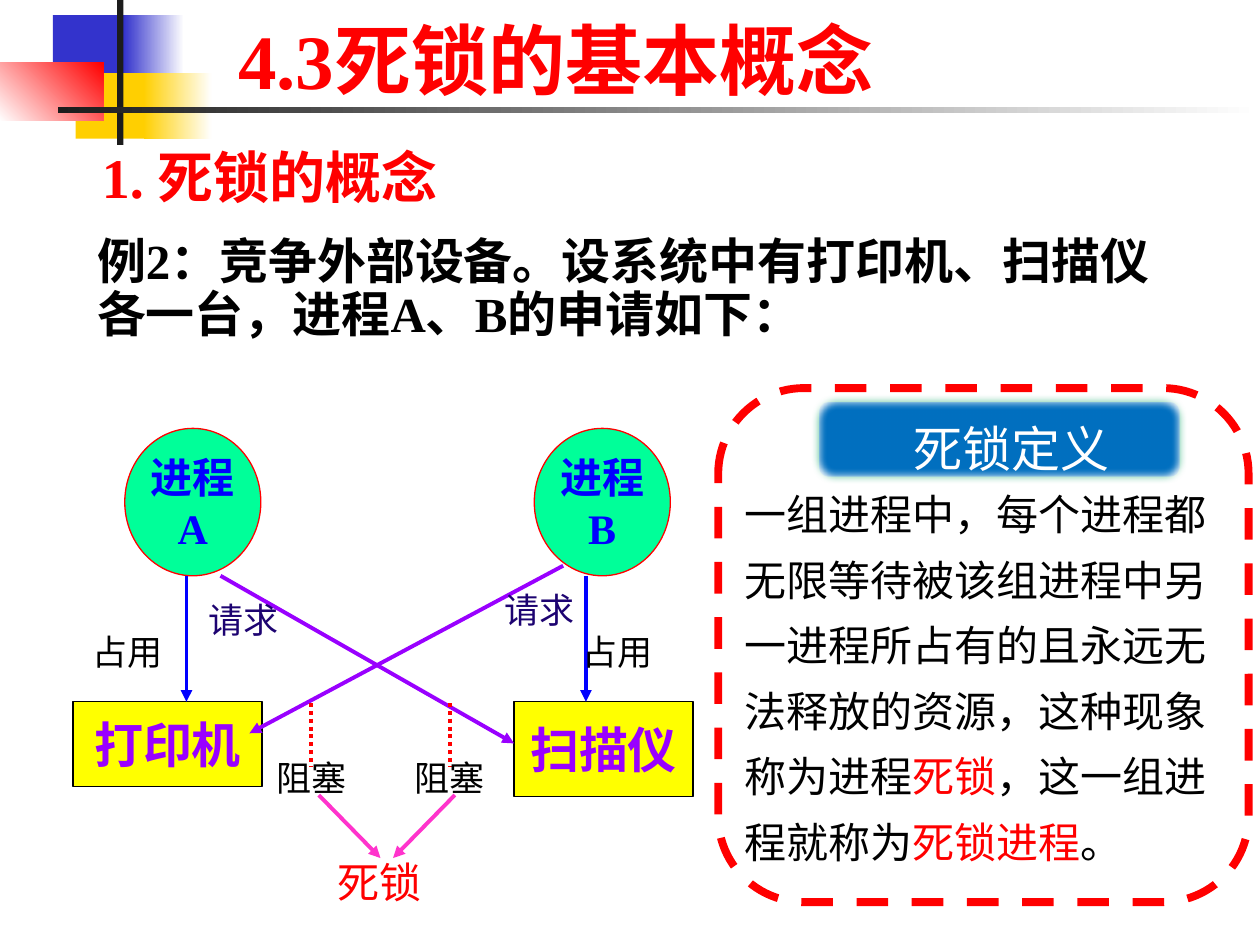
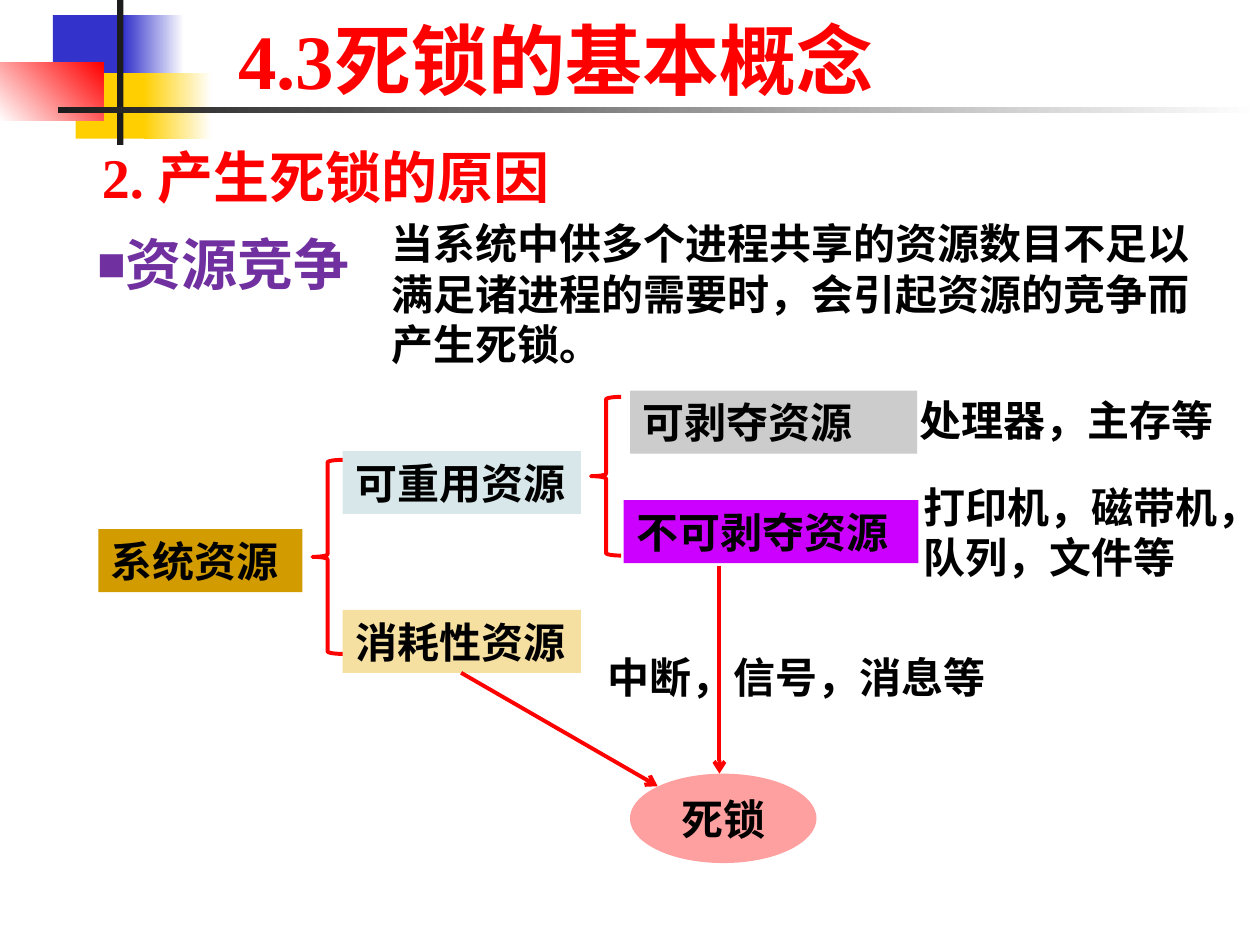
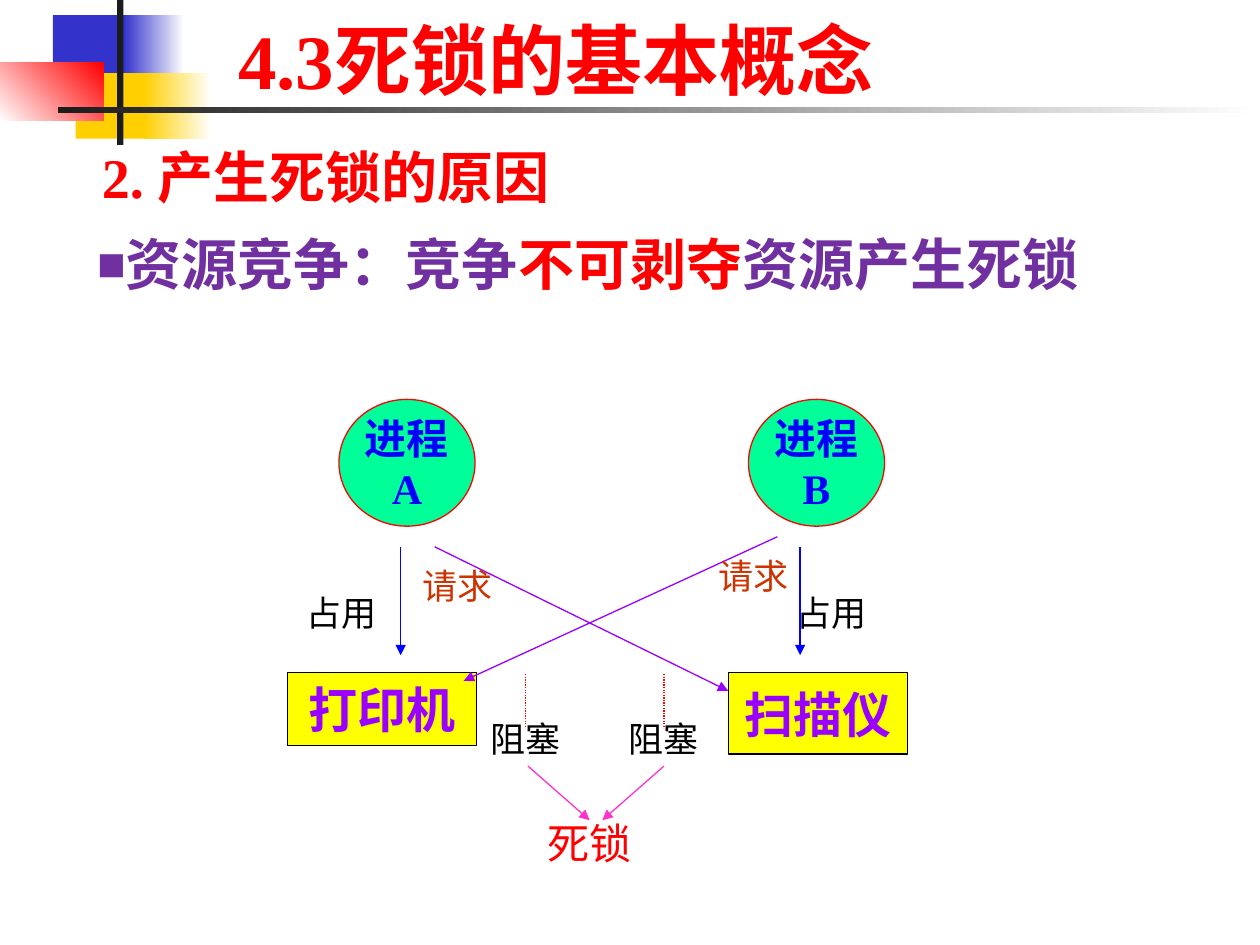
from dataclasses import dataclass

from pptx import Presentation
from pptx.dml.color import RGBColor
from pptx.enum.dml import MSO_LINE
from pptx.enum.shapes import MSO_CONNECTOR, MSO_SHAPE
from pptx.enum.text import MSO_ANCHOR, MSO_AUTO_SIZE, PP_ALIGN
from pptx.oxml.ns import qn
from pptx.util import Inches, Pt
from lxml.etree import SubElement

COLS, ROWS = 100, 75  # grid of the slide


@dataclass(frozen=True)
class Theme:
    # Fonts
    serif: str = "Times New Roman"
    sans: str = "Arial"
    cjk: str = "Noto Sans CJK SC"
    # Type sizes
    title: int = 44
    heading: int = 32
    lead: int = 28
    text: int = 24
    label: int = 20
    # Line widths
    thin: float = 0.75
    thick: float = 2.25
    frame: float = 4.5
    # Colours
    black: str = "000000"
    white: str = "FFFFFF"
    red: str = "FF0000"
    blue: str = "0000FF"
    violet: str = "9900FF"
    purple: str = "7030A0"
    pink: str = "FF33CC"
    yellow: str = "FFFF00"
    green: str = "00FF99"
    navy: str = "1D0371"
    rust: str = "CC3300"
    banner: str = "0070C0"
    banner_edge: str = "51C193"
    band_blue: str = "3333CC"
    band_gold: str = "FFCF01"
    band_dark: str = "1C1C1C"
    ochre: str = "D29B00"
    mist: str = "D8E8EA"
    sand: str = "F6E0A1"
    magenta: str = "CC00FF"
    grey: str = "CCCCCC"
    salmon: str = "FFA0A0"


T = Theme()


def rgb(color):
    return RGBColor.from_string(color)


def write(tf, text, size=T.text, color=T.black, font=T.serif, bold=False,
          align=PP_ALIGN.LEFT, anchor=MSO_ANCHOR.TOP, wrap=True, spacing=None,
          bullet=None):
    """Fill a text frame; text is a string or a list of (text, color) runs."""
    tf.auto_size = MSO_AUTO_SIZE.NONE
    tf.word_wrap = wrap
    tf.vertical_anchor = anchor
    runs = [(text, color)] if isinstance(text, str) else text
    p = tf.paragraphs[0]
    paragraphs = [p]
    for part, run_color in runs:
        for i, line in enumerate(part.split("\n")):
            if i:
                p = tf.add_paragraph()
                paragraphs.append(p)
            r = p.add_run()
            r.text = line
            r.font.name, r.font.size, r.font.bold = font, Pt(size), bold
            r.font.color.rgb = rgb(run_color)
            SubElement(r.font._element, qn("a:ea"), typeface=T.cjk)
    for p in paragraphs:
        p.alignment = align
        p.space_before = Pt(0)
        if spacing:
            p.line_spacing = spacing
        pPr = p._p.get_or_add_pPr()
        indent = Inches(0.19) if bullet else 0
        pPr.set("marL", str(indent))
        pPr.set("indent", str(-indent))
        if bullet:
            SubElement(pPr, qn("a:buSzPct"), val="85000")
            SubElement(pPr, qn("a:buChar"), char=bullet)
        else:
            SubElement(pPr, qn("a:buNone"))


class Deck:
    def __init__(self, theme):
        self.t = theme
        self.prs = Presentation()
        self.prs.slide_width, self.prs.slide_height = Inches(10), Inches(7.5)
        self.s = None

    def x(self, cols):
        return round(self.prs.slide_width * cols / COLS)

    def y(self, rows):
        return round(self.prs.slide_height * rows / ROWS)

    def box(self, at):
        left, top, width, height = at
        return self.x(left), self.y(top), self.x(width), self.y(height)

    def place(self, sp, at):
        sp.left, sp.top, sp.width, sp.height = self.box(at)

    def new_slide(self, title, heading, body, body_format):
        first = self.s is None
        self.s = self.prs.slides.add_slide(self.prs.slide_layouts[1])
        if first:
            self.master_bands()
        sp = self.s.shapes.title
        self.place(sp, (17.9, 0.4, 86.2, 9.5))
        write(sp.text_frame, title, size=self.t.title, color=self.t.red,
              bold=True, anchor=MSO_ANCHOR.MIDDLE, spacing=0.9)
        sp = self.s.placeholders[1]
        self.place(sp, (6.7, 18.3, 86.2, 47.6))
        write(sp.text_frame, body, bold=True, spacing=0.9, **body_format)
        self.text((7.1, 10.8, 58.9, 6.4), heading, size=self.t.heading,
                  color=self.t.red, bold=True)

    def shape(self, kind, at, fill=None, line=None, width=T.thin, dash=None,
              text=None, **fmt):
        sp = self.s.shapes.add_shape(kind, *self.box(at))
        sp.shadow.inherit = False
        if fill:
            sp.fill.solid()
            sp.fill.fore_color.rgb = rgb(fill)
        else:
            sp.fill.background()
        if line:
            sp.line.color.rgb = rgb(line)
            sp.line.width = Pt(width)
            if dash:
                sp.line.dash_style = dash
        else:
            sp.line.fill.background()
        if text:
            write(sp.text_frame, text, **fmt)
        return sp

    def fade(self, at, start, end, angle=0):
        sp = self.shape(MSO_SHAPE.RECTANGLE, at)
        sp.fill.gradient()
        sp.fill.gradient_angle = angle
        for stop, color, position in zip(sp.fill.gradient_stops, (start, end), (0, 1)):
            stop.color.rgb = rgb(color)
            stop.position = position
        return sp

    def text(self, at, text, **fmt):
        tb = self.s.shapes.add_textbox(*self.box(at))
        write(tb.text_frame, text, **fmt)

    def line(self, start, end, color, width=T.thick, head=None, dash=None):
        cx = self.s.shapes.add_connector(
            MSO_CONNECTOR.STRAIGHT, self.x(start[0]), self.y(start[1]),
            self.x(end[0]), self.y(end[1]))
        cx.line.color.rgb = rgb(color)
        cx.line.width = Pt(width)
        if dash:
            cx.line.dash_style = dash
        spPr = cx._element.spPr
        if head:
            SubElement(spPr.find(qn("a:ln")), qn("a:tailEnd"), type=head)
        SubElement(spPr, qn("a:effectLst"))

    def master_bands(self):
        """Draw the corner blocks and rules, then move them to the master."""
        t, rect = self.t, MSO_SHAPE.RECTANGLE
        bands = [
            self.shape(rect, (4.2, 1.2, 6.4, 5.2), t.band_blue),
            self.fade((9.8, 1.2, 4.8, 5.2), t.band_blue, t.white),
            self.shape(rect, (6, 5.8, 6.2, 5.2), t.band_gold),
            self.fade((11.4, 5.8, 5.4, 5.2), t.band_gold, t.white),
            self.fade((0, 5, 8.2, 4.6), t.white, t.red, angle=45),
            self.shape(rect, (9.3, 0, 0.5, 11.5), t.band_dark),
            self.fade((4.6, 8.5, 95.4, 0.5), t.band_dark, t.white),
        ]
        tree = self.prs.slide_master.shapes.element
        for i, sp in enumerate(bands):
            sp.element.xpath("./p:nvSpPr/p:cNvPr")[0].set("id", str(20 + i))
            tree.insert(2 + i, sp.element)

    def deadlock_diagram(self, x0, y0, squeeze, width, request, nudge=0):
        """Two processes and two devices; heights shrink by squeeze."""
        t = self.t
        mid = dict(align=PP_ALIGN.CENTER, anchor=MSO_ANCHOR.MIDDLE, wrap=False)

        def at(x, y, w, h):
            return x0 + x, y0 + y, w, h * squeeze

        def label(x, y, w, h, text, color=t.black, size=t.label):
            self.text(at(x, y, w, h), text, color=color, size=size, **mid)

        def arrow(x, y, dx, dy, color, head="triangle", dash=None):
            self.line((x0 + x, y0 + y), (x0 + x + dx, y0 + y + dy * squeeze),
                      color, width, head, dash)

        # Processes and devices
        for x, name in ((0, "A"), (32.5, "B")):
            self.shape(MSO_SHAPE.OVAL, at(x, 0, 10.8, 11.7), t.green, t.red,
                       text="进程\n" + name, color=t.blue, bold=True, **mid)
        for x, w, h, name in ((-4.1, 15, 6.7, "打印机"), (30.9, 14.2, 7.5, "扫描仪")):
            self.shape(MSO_SHAPE.RECTANGLE, at(x, 21.7, w, h), t.yellow, t.black,
                       text=name, size=t.lead, color=t.violet, bold=True, **mid)
        # Held devices
        for x, label_x, w in ((4.9, -2.6, 5.6), (36.6, 36.6, 5)):
            arrow(x, 11.7, 0, 10, t.blue)
            label(label_x, 14.7 - nudge, w, 6, "占用")
        # Requested devices
        for x, y, dx, label_x in ((7.6, 11.7, 23.3, 6.7), (34.8, 10.9, -24.9, 30.2)):
            arrow(x, y, dx, 13.3, t.violet)
            label(label_x, y + 0.8, 5.4, 5.3, "请求", request)
        # Blocked requests leading to the deadlock
        for x, start, dx in ((14.8, 15.4, 4.9), (25.8, 26.2, -4.9)):
            arrow(x, 21.8, 0, 5, t.red, None, MSO_LINE.ROUND_DOT)
            label(x - 2.5, 25.2 - nudge, 5, 5, "阻塞")
            arrow(start - nudge, 29.1, dx, 5, t.pink)
        label(17.3 - nudge, 33 - nudge, 5.9, 6, "死锁", t.red, t.text)


def concept_slide(d):
    d.new_slide(TITLE, "1. 死锁的概念",
                "例2：竞争外部设备。设系统中有打印机、扫描仪各一台，进程A、B的申请如下：",
                dict(size=T.lead))
    d.deadlock_diagram(9.9, 34, 1, T.thick, T.navy)
    # Definition panel
    d.shape(MSO_SHAPE.ROUNDED_RECTANGLE, (57, 30.8, 42.1, 40.8), T.white, T.red,
            T.frame, MSO_LINE.DASH)
    sp = d.shape(MSO_SHAPE.ROUNDED_RECTANGLE, (64.7, 31.6, 29.2, 6.5), T.banner,
                 T.banner_edge, 4.33)
    effects = sp.element.spPr.find(qn("a:effectLst"))
    SubElement(effects, qn("a:softEdge"), rad=str(Pt(5)))
    d.text((66.5, 31.3, 27.5, 6.5), "死锁定义", size=T.lead, color=T.white,
           font=T.cjk, align=PP_ALIGN.CENTER, spacing=1.3)
    d.text((58.1, 37.1, 39.9, 32.5), [
        ("一组进程中，每个进程都无限等待被该组进程中另一进程所占有的且永远无法释放的资源，这种现象称为进程", T.black),
        ("死锁", T.red), ("，这一组进程就称为", T.black),
        ("死锁进程", T.red), ("。", T.black)], font=T.cjk, spacing=1.3)


def resources_slide(d):
    d.new_slide(TITLE, CAUSES, "资源竞争", BULLET)
    bold = dict(font=T.sans, bold=True)
    # Resource tree
    for x, y, w, fill, name in (
            (7.8, 42, 16.2, T.ochre, "系统资源"),
            (27.2, 35.8, 18.9, T.mist, "可重用资源"),
            (27.2, 48.4, 18.9, T.sand, "消耗性资源"),
            (49.5, 39.7, 23.4, T.magenta, "不可剥夺资源"),
            (50, 31, 22.8, T.grey, "可剥夺资源")):
        d.shape(MSO_SHAPE.RECTANGLE, (x, y, w, 5), fill, text=name, **bold)
    for x, y, h in ((24.8, 36.5, 15.4), (46.9, 31.5, 12.6)):
        d.shape(MSO_SHAPE.LEFT_BRACE, (x, y, 2.4, h), line=T.red, width=T.thick)
    # Examples and explanation
    for at, text in (
            ((72, 30.8, 26.8, 5), "处理器，主存等"),
            ((72.3, 37.7, 26.8, 9.1), "打印机，磁带机，队列，文件等"),
            ((47.2, 51.2, 35.7, 5), "中断，信号，消息等"),
            ((30.1, 16.8, 66.4, 13.1),
             "当系统中供多个进程共享的资源数目不足以满足诸进程的需要时，会引起资源的竞争而产生死锁。")):
        d.text(at, text, **bold)
    # Deadlock
    for start, end in (((57.1, 44.9), (57.1, 61.4)), ((36.6, 53.4), (52.2, 62.4))):
        d.line(start, end, T.red, head="arrow")
    d.shape(MSO_SHAPE.OVAL, (50, 61.4, 14.8, 7.1), T.salmon, text="死锁",
            align=PP_ALIGN.CENTER, anchor=MSO_ANCHOR.MIDDLE, **bold)


def competition_slide(d):
    d.new_slide(TITLE, CAUSES, [("资源竞争：竞争", T.purple), ("不可剥夺", T.red),
                                ("资源产生死锁", T.purple)], BULLET)
    d.deadlock_diagram(26.9, 31.7, 0.86, T.thin, T.rust, nudge=0.4)


TITLE = "4.3死锁的基本概念"
CAUSES = "2. 产生死锁的原因"
BULLET = dict(size=T.heading, color=T.purple, font=T.cjk, bullet="■")


def main():
    d = Deck(T)
    for build in (concept_slide, resources_slide, competition_slide):
        build(d)
    d.prs.save("out.pptx")


if __name__ == "__main__":
    main()
